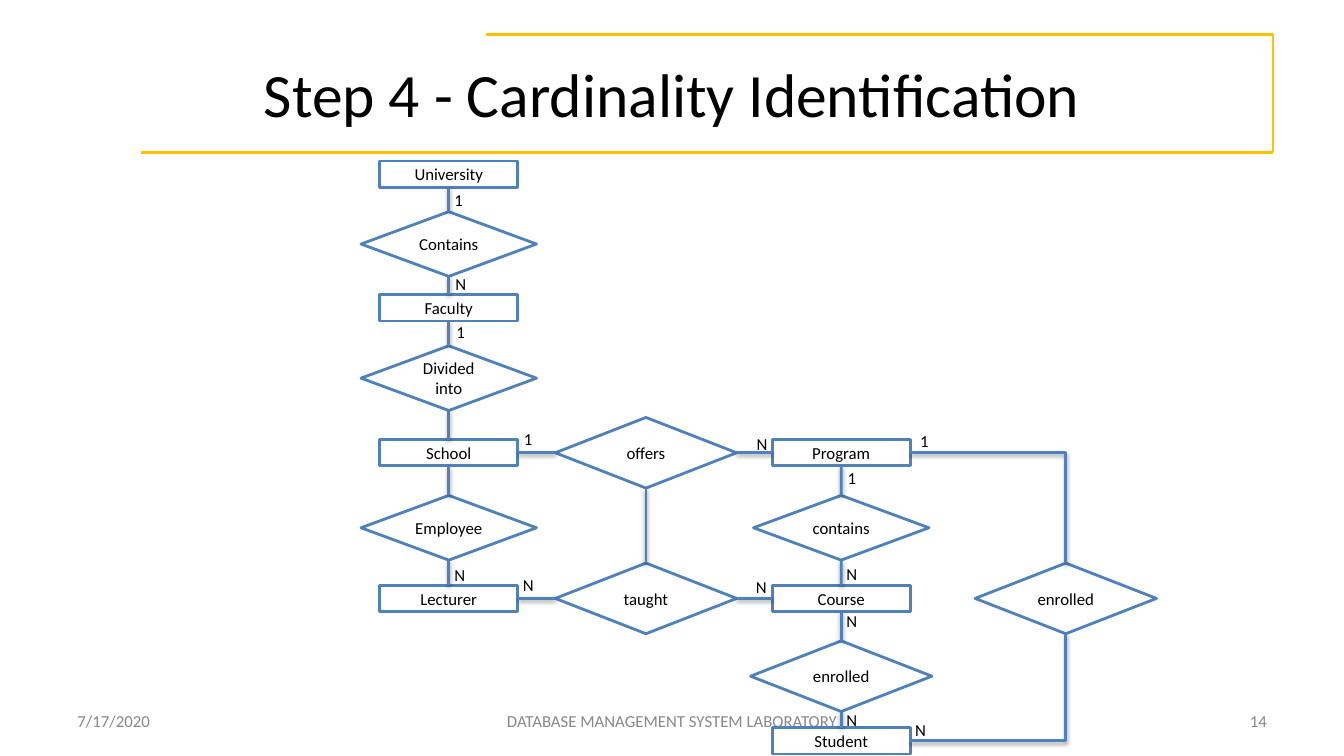
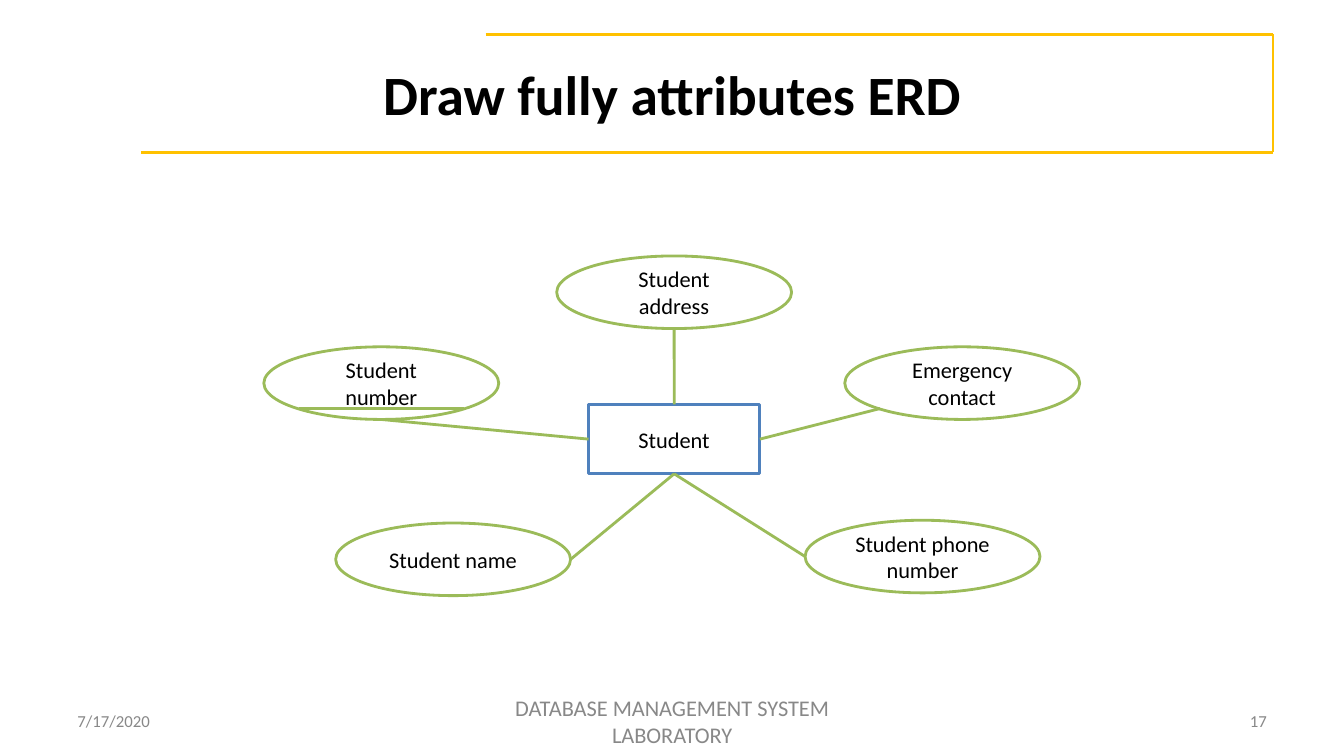
from pptx import Presentation
from pptx.dml.color import RGBColor
from pptx.enum import shapes, text
from pptx.oxml import parse_xml
from pptx.oxml.ns import nsdecls, qn
from pptx.util import Cm, Pt

FONT = "Calibri"
BLACK = RGBColor(0x00, 0x00, 0x00)
WHITE = RGBColor(0xFF, 0xFF, 0xFF)
GREY = RGBColor(0x88, 0x88, 0x88)
GOLD = RGBColor(0xFF, 0xC1, 0x00)
BLUE = RGBColor(0x4F, 0x81, 0xBD)
GREEN = RGBColor(0x9B, 0xBB, 0x59)
LEFT, CENTER, RIGHT = text.PP_ALIGN.LEFT, text.PP_ALIGN.CENTER, text.PP_ALIGN.RIGHT
SHAPE, LINE = shapes.MSO_SHAPE, shapes.MSO_CONNECTOR
SIDES = {"top": 0, "left": 1, "bottom": 2, "right": 3}

# Shared content; all positions and sizes are in centimetres
DATE = "7/17/2020"
FOOTER = "DATABASE MANAGEMENT SYSTEM LABORATORY"
TITLE_RULES = [
    (12.24, 0.86, 32.08, 0.86),
    (32.08, 0.86, 32.08, 3.84),
    (32.08, 3.84, 3.56, 3.84),
]

# Cardinality diagram: column centres, node kinds and nodes
COLUMNS = {"A": 11.31, "B": 16.28, "C": 21.2, "D": 26.86}
KINDS = {
    "entity": (SHAPE.RECTANGLE, 3.48, 0.66),
    "relation": (SHAPE.DIAMOND, 4.42, 1.63),
    "wide relation": (SHAPE.DIAMOND, 4.57, 1.78),
}
NODES = [  # key, text, kind, column, centre y
    ("university", "University", "entity", "A", 4.39),
    ("has faculty", "Contains", "relation", "A", 6.15),
    ("faculty", "Faculty", "entity", "A", 7.76),
    ("divided", "Divided into", "relation", "A", 9.53),
    ("school", "School", "entity", "A", 11.41),
    ("employee", "Employee", "relation", "A", 13.3),
    ("lecturer", "Lecturer", "entity", "A", 15.08),
    ("offers", "offers", "wide relation", "B", 11.41),
    ("taught", "taught", "wide relation", "B", 15.08),
    ("program", "Program", "entity", "C", 11.41),
    ("has course", "contains", "relation", "C", 13.3),
    ("course", "Course", "entity", "C", 15.08),
    ("takes course", "enrolled", "wide relation", "C", 17.04),
    ("student", "Student", "entity", "C", 18.67),
    ("joins program", "enrolled", "wide relation", "D", 15.08),
]
VERTICAL_CHAINS = [
    ("university", "has faculty", "faculty", "divided", "school", "employee", "lecturer"),
    ("offers", "taught"),
    ("program", "has course", "course", "takes course", "student"),
]
HORIZONTAL_CHAINS = [("school", "offers", "program"), ("lecturer", "taught", "course")]
ELBOWS = [  # start at the right side, end at the given side
    ("program", "joins program", "top"),
    ("student", "joins program", "bottom"),
]
CARDINALITIES = {
    "1": [(11.2, 4.65), (11.25, 7.98), (12.95, 10.69), (22.94, 10.72), (21.11, 11.66)],
    "N": [(11.23, 6.78), (11.2, 14.1), (12.93, 14.35), (18.82, 10.8), (21.08, 14.07),
          (18.8, 14.4), (21.08, 15.27), (22.81, 18.01), (21.08, 17.75)],
}

# Attribute diagram
STUDENT_BOX = (14.83, 10.19, 4.32, 1.75)
OVAL_SIZE = (5.92, 1.83)
NEAR, FAR = 0.15, 0.85  # diagonal points of an oval, as shares of its size
ATTRIBUTES = [  # text, left, top, side of the box, joint on the oval
    ("Student number", 6.65, 8.74, "left", (0.5, 1)),
    ("Student address", 14.03, 6.45, "top", (0.5, 1)),
    ("Emergency contact", 21.29, 8.74, "right", (NEAR, FAR)),
    ("Student phone number", 20.29, 13.11, "bottom", (0, 0.5)),
    ("Student name", 8.46, 13.18, "bottom", (1, 0.5)),
]
KEY_ATTRIBUTE = "Student number"


def write(shape, content, size, color=BLACK, align=CENTER, bold=False,
          anchor=text.MSO_ANCHOR.MIDDLE):
    frame = shape.text_frame
    frame.word_wrap = True
    frame.vertical_anchor = anchor
    paragraph = frame.paragraphs[0]
    paragraph.text = content
    paragraph.alignment = align
    font = paragraph.font
    font.name, font.size, font.bold = FONT, Pt(size), bold
    font.color.rgb = color


def add_text(slide, box, content, size, **style):
    write(slide.shapes.add_textbox(*map(Cm, box)), content, size, **style)


def add_node(slide, kind, box, content, size, color):
    shape = slide.shapes.add_shape(kind, *map(Cm, box))
    shape.shadow.inherit = False
    shape.fill.solid()
    shape.fill.fore_color.rgb = WHITE
    shape.line.color.rgb = color
    shape.line.width = Pt(2)
    write(shape, content, size)
    return shape


def add_line(slide, color, points=(0, 0, 0, 0), kind=LINE.STRAIGHT, shadow=False):
    connector = slide.shapes.add_connector(kind, *map(Cm, points))
    connector.line.color.rgb = color
    connector.line.width = Pt(2)
    effect = (
        '<a:outerShdw blurRad="40000" dist="20000" dir="5400000" rotWithShape="0">'
        '<a:srgbClr val="000000"><a:alpha val="38000"/></a:srgbClr></a:outerShdw>'
    ) if shadow else ""
    connector._element.spPr.append(
        parse_xml(f'<a:effectLst {nsdecls("a")}>{effect}</a:effectLst>'))
    return connector


def join(slide, start, start_side, end, end_side, kind=LINE.STRAIGHT):
    connector = add_line(slide, BLUE, kind=kind, shadow=True)
    connector.begin_connect(start, SIDES[start_side])
    connector.end_connect(end, SIDES[end_side])
    return connector


def add_slide(presentation, title, title_size, number, footer_size, bold=False):
    slide = presentation.slides.add_slide(presentation.slide_layouts[6])
    for points in TITLE_RULES:
        add_line(slide, GOLD, points)
    add_text(slide, (1.7, 0.76, 30.48, 3.18), title, title_size, bold=bold)
    for left, width, content, size, align in [
        (1.7, 7.9, DATE, 12, LEFT),
        (11.58, 10.72, FOOTER, footer_size, CENTER),
        (24.28, 7.9, number, 12, RIGHT),
    ]:
        add_text(slide, (left, 17.65, width, 1.02), content, size, color=GREY, align=align)
    return slide


def draw_cardinalities(slide):
    nodes = {}
    for key, content, kind, column, middle in NODES:
        preset, width, height = KINDS[kind]
        box = (COLUMNS[column] - width / 2, middle - height / 2, width, height)
        nodes[key] = add_node(slide, preset, box, content, 12, BLUE)

    # Straight links between neighbours
    for chains, start_side, end_side in [
        (VERTICAL_CHAINS, "bottom", "top"),
        (HORIZONTAL_CHAINS, "right", "left"),
    ]:
        for chain in chains:
            for start, end in zip(chain, chain[1:]):
                join(slide, nodes[start], start_side, nodes[end], end_side)

    # Links with a single corner
    for start, end, end_side in ELBOWS:
        connector = join(slide, nodes[start], "right", nodes[end], end_side, LINE.ELBOW)
        connector._element.spPr.find(qn("a:prstGeom")).set("prst", "bentConnector2")

    for symbol, places in CARDINALITIES.items():
        for left, top in places:
            add_text(slide, (left, top, 0.8, 0.76), symbol, 12, align=LEFT,
                     anchor=text.MSO_ANCHOR.TOP)


def draw_attributes(slide):
    student = add_node(slide, SHAPE.RECTANGLE, STUDENT_BOX, "Student", 16, BLUE)
    width, height = OVAL_SIZE
    for content, left, top, side, (across, down) in ATTRIBUTES:
        add_node(slide, SHAPE.FLOWCHART_CONNECTOR, (left, top, width, height),
                 content, 16, GREEN)
        x, y = left + across * width, top + down * height
        connector = add_line(slide, GREEN, (x, y, x, y))
        connector.begin_connect(student, SIDES[side])
        if content == KEY_ATTRIBUTE:
            level = top + FAR * height
            add_line(slide, GREEN, (left + NEAR * width, level, left + FAR * width, level))


def main():
    presentation = Presentation()
    presentation.slide_width, presentation.slide_height = Cm(33.87), Cm(19.05)
    draw_cardinalities(
        add_slide(presentation, "Step 4 - Cardinality Identification", 44, "14", 12))
    draw_attributes(
        add_slide(presentation, "Draw fully attributes ERD", 39.6, "17", 16, bold=True))
    presentation.save("out.pptx")


if __name__ == "__main__":
    main()
